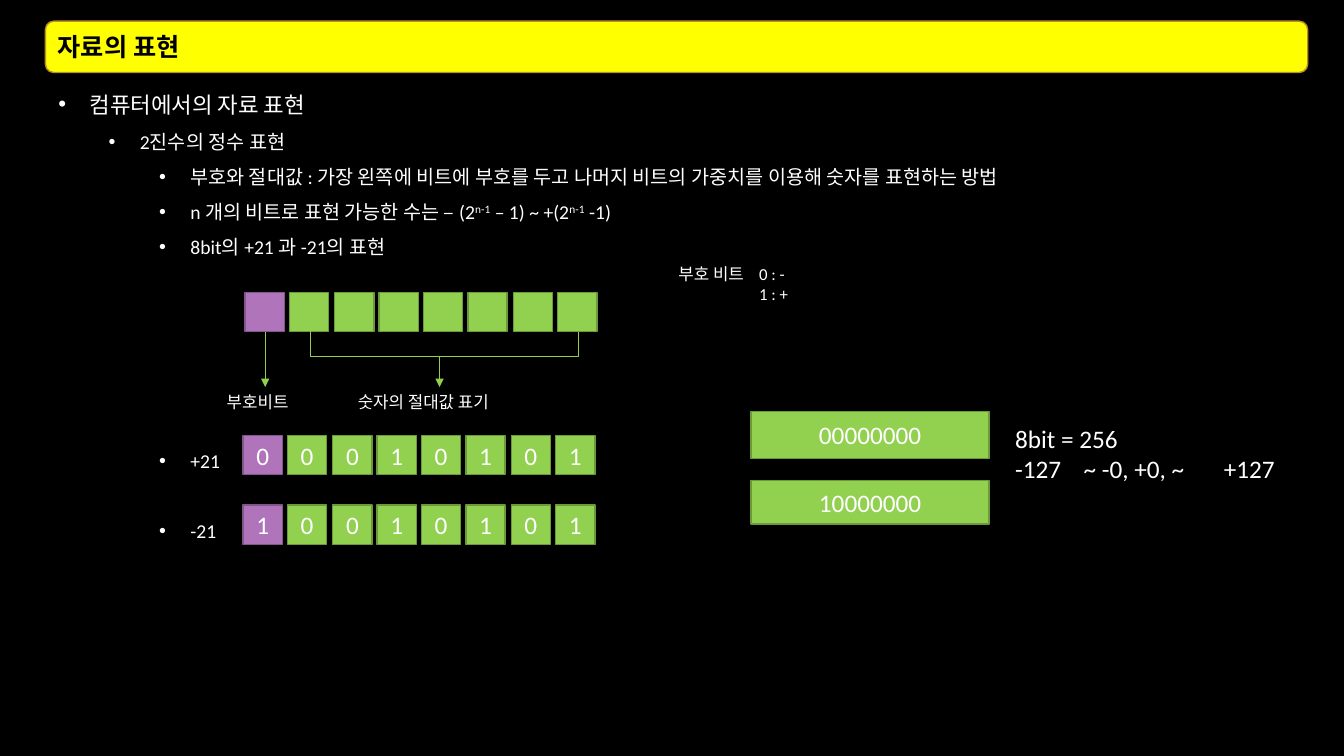
import dataclasses

import pptx
import pptx.dml.color
import pptx.enum.shapes
import pptx.enum.text
import pptx.oxml
import pptx.oxml.ns
import pptx.shapes.autoshape
import pptx.shapes.connector
import pptx.util

EMU_PER_PX = 9144  # 100 px to the inch
FONT = "Calibri"
BLACK, WHITE, YELLOW, GOLD = "000000", "FFFFFF", "FFFF00", "B79024"
GREEN, GREEN_EDGE = "92D050", "6C9A3B"
PURPLE, PURPLE_EDGE = "B074BA", "82568A"
BIT_COUNT, BIT_SIZE, LAST_BIT_OFFSET = 8, 39, 310
SHAPE = pptx.enum.shapes.MSO_SHAPE
CONNECTOR = pptx.enum.shapes.MSO_CONNECTOR
ALIGN = pptx.enum.text.PP_ALIGN
ANCHOR = pptx.enum.text.MSO_ANCHOR


@dataclasses.dataclass(frozen=True)
class Frame:
    left: int
    top: int
    width: int
    height: int


@dataclasses.dataclass(frozen=True)
class Bullet:
    level: int
    size: int
    pieces: tuple[str, ...]  # every second piece is superscript
    space_before: int = 0


@dataclasses.dataclass(frozen=True)
class BitRow:
    left: int
    top: int
    digits: str = ""


@dataclasses.dataclass(frozen=True)
class Label:
    frame: Frame
    size: int
    lines: tuple[str, ...]
    tabs: tuple[int, ...] = ()


BULLETS = (
    Bullet(0, 16, ("컴퓨터에서의 자료 표현",)),
    Bullet(1, 14, ("2진수의 정수 표현",)),
    Bullet(2, 14, ("부호와 절대값 : 가장 왼쪽에 비트에 부호를 두고 나머지 비트의 가중치를 이용해 숫자를 표현하는 방법",)),
    Bullet(2, 14, ("n 개의 비트로 표현 가능한 수는 – (2", "n-1", " – 1) ~ +(2", "n-1", " -1)")),
    Bullet(2, 14, ("8bit의 +21 과 -21의 표현",)),
    Bullet(2, 14, ("+21",), 127),
    Bullet(2, 14, ("-21",), 25),
)
BIT_ROWS = (BitRow(243, 290), BitRow(241, 432, "00010101"), BitRow(241, 501, "10010101"))
LABELS = (
    Label(Frame(215, 384, 95, 30), 12, ("부호비트",)),
    Label(Frame(345, 384, 182, 30), 12, ("숫자의 절대값 표기",)),
    Label(Frame(663, 257, 182, 50), 12, ("부호 비트\t0 : -", "\t1 : +"), (80,)),
    Label(Frame(997, 415, 283, 101), 18, ("8bit = 256", "-127\t~ -0, +0, ~\t+127"), (68, 207)),
)
ZERO_BYTES = (
    (Frame(745, 408, 236, 47), "00000000"),
    (Frame(745, 477, 236, 43), "10000000"),
)


def px(length: int) -> pptx.util.Emu:
    return pptx.util.Emu(length * EMU_PER_PX)


def rgb(color: str) -> pptx.dml.color.RGBColor:
    return pptx.dml.color.RGBColor.from_string(color)


def style_runs(para, size: int, color: str = WHITE, bold: bool = False) -> None:
    for run in para.runs:
        run.font.name = FONT
        run.font.size = pptx.util.Pt(size)
        run.font.color.rgb = rgb(color)
        run.font.bold = bold


def add_child(parent, tag: str, **attributes: str):
    child = pptx.oxml.parse_xml(f"<{tag} {pptx.oxml.ns.nsdecls('a')}/>")
    for name, value in attributes.items():
        child.set(name, value)
    parent.append(child)
    return child


def add_box(shapes, frame: Frame, fill: str, edge: str, text: str = "",
            kind: SHAPE = SHAPE.RECTANGLE) -> pptx.shapes.autoshape.Shape:
    box = shapes.add_shape(kind, px(frame.left), px(frame.top), px(frame.width), px(frame.height))
    box.shadow.inherit = False
    box.fill.solid()
    box.fill.fore_color.rgb = rgb(fill)
    box.line.color.rgb = rgb(edge)
    box.line.width = pptx.util.Pt(1)
    box.text_frame.word_wrap = True
    box.text_frame.vertical_anchor = ANCHOR.MIDDLE
    para = box.text_frame.paragraphs[0]
    para.text = text
    para.alignment = ALIGN.CENTER
    style_runs(para, 18)
    return box


def add_title(shapes) -> None:
    bar = add_box(shapes, Frame(45, 21, 1252, 51), YELLOW, GOLD, "자료의 표현", SHAPE.ROUNDED_RECTANGLE)
    para = bar.text_frame.paragraphs[0]
    para.alignment = ALIGN.LEFT
    style_runs(para, 18, BLACK, bold=True)


def add_outline(shapes) -> None:
    text_frame = add_box(shapes, Frame(48, 72, 1248, 646), BLACK, BLACK).text_frame
    text_frame.vertical_anchor = ANCHOR.TOP
    text_frame.text = "\n".join("" for _ in BULLETS)
    for bullet, para in zip(BULLETS, text_frame.paragraphs):
        para.level = bullet.level
        para.alignment = ALIGN.LEFT
        para.line_spacing = 1.5
        para.space_before = pptx.util.Pt(bullet.space_before)
        properties = para._p.get_or_add_pPr()
        properties.set("marL", str(px(31 + 50 * bullet.level)))
        properties.set("indent", str(px(-31)))
        add_child(properties, "a:buFont", typeface="Arial")
        add_child(properties, "a:buChar", char="•")
        for index, piece in enumerate(bullet.pieces):
            run = para.add_run()
            run.text = piece
            if index % 2:
                run._r.get_or_add_rPr().set("baseline", "30000")
        style_runs(para, bullet.size)


def add_bit_row(shapes, row: BitRow) -> None:
    """Draw the purple sign bit and the green magnitude bits as one group."""
    group = shapes.add_group_shape()
    for index in range(BIT_COUNT):
        left = row.left + round(index * LAST_BIT_OFFSET / (BIT_COUNT - 1))
        fill, edge = (GREEN, GREEN_EDGE) if index else (PURPLE, PURPLE_EDGE)
        add_box(group.shapes, Frame(left, row.top, BIT_SIZE, BIT_SIZE), fill, edge,
                row.digits[index:index + 1])


def add_line(shapes, kind: CONNECTOR, start: tuple[int, int],
             end: tuple[int, int]) -> pptx.shapes.connector.Connector:
    line = shapes.add_connector(kind, *map(px, start + end))
    line.line.color.rgb = rgb(GREEN)
    line.line.width = pptx.util.Pt(0.5)
    add_child(line._element.spPr, "a:effectLst")
    return line


def add_down_arrow(shapes, x: int, top: int, bottom: int) -> None:
    arrow = add_line(shapes, CONNECTOR.STRAIGHT, (x, top), (x, bottom))
    add_child(arrow.line._get_or_add_ln(), "a:tailEnd", type="triangle")


def add_magnitude_bracket(shapes) -> None:
    """Join the first and last magnitude bits with an elbow turned to open upwards."""
    bracket = add_line(shapes, CONNECTOR.ELBOW, (440, 196), (441, 462))
    properties = bracket._element.spPr
    properties.xfrm.set("rot", str(270 * 60000))
    properties.xfrm.set("flipH", "1")
    guides = properties.find(pptx.oxml.ns.qn("a:prstGeom")).get_or_add_avLst()
    add_child(guides, "a:gd", name="adj1", fmla="val 2500000")


def add_label(shapes, label: Label) -> None:
    frame = label.frame
    box = shapes.add_textbox(px(frame.left), px(frame.top), px(frame.width), px(frame.height))
    box.text_frame.word_wrap = True
    box.text_frame.text = "\n".join(label.lines)
    for para in box.text_frame.paragraphs:
        style_runs(para, label.size)
        if label.tabs:
            stops = add_child(para._p.get_or_add_pPr(), "a:tabLst")
            for tab in label.tabs:
                add_child(stops, "a:tab", pos=str(px(tab)), algn="l")


def main() -> None:
    deck = pptx.Presentation()
    deck.slide_width, deck.slide_height = px(1333), px(750)
    page = deck.slides.add_slide(deck.slide_layouts[6])
    page.background.fill.solid()
    page.background.fill.fore_color.rgb = rgb(BLACK)
    shapes = page.shapes
    add_outline(shapes)
    add_title(shapes)
    for row in BIT_ROWS:
        add_bit_row(shapes, row)
    add_down_arrow(shapes, 263, 329, 384)
    add_magnitude_bracket(shapes)
    add_down_arrow(shapes, 436, 353, 384)
    for label in LABELS:
        add_label(shapes, label)
    for frame, digits in ZERO_BYTES:
        add_box(shapes, frame, GREEN, GREEN_EDGE, digits)
    deck.save("out.pptx")


if __name__ == "__main__":
    main()
